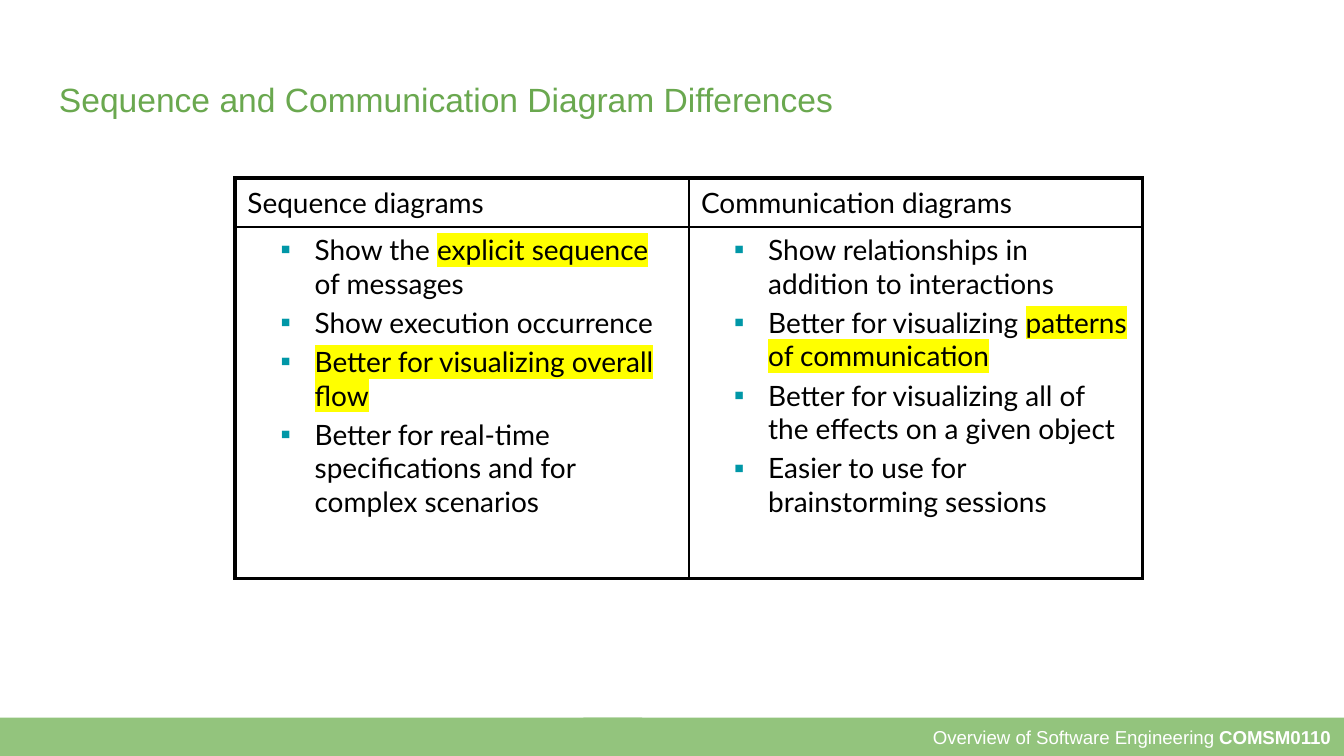
import lxml.etree
import pptx
import pptx.dml.color
import pptx.enum.shapes
import pptx.enum.text
import pptx.oxml.ns
import pptx.util

Pt = pptx.util.Pt
qn = pptx.oxml.ns.qn
Anchor = pptx.enum.text.MSO_ANCHOR
Align = pptx.enum.text.PP_ALIGN

BLACK, WHITE, YELLOW = "000000", "FFFFFF", "FFFF00"
BAR_GREEN, TITLE_GREEN, BULLET_TEAL = "93C47D", "6AA84F", "0097A7"
OUTER_LINE, INNER_LINE = 2.25, 1

HEADINGS = ["Sequence diagrams", "Communication diagrams"]
POINTS = [
    [
        [("Show the ", None), ("explicit sequence ", YELLOW), ("of messages", None)],
        [("Show execution occurrence", None)],
        [("Better for visualizing overall flow", YELLOW)],
        [("Better for real-time specifications and for complex scenarios", None)],
    ],
    [
        [("Show relationships in addition to interactions", None)],
        [("Better for visualizing ", None), ("patterns of communication", YELLOW)],
        [("Better for visualizing all of the effects on a given object", None)],
        [("Easier to use for brainstorming sessions", None)],
    ],
]


def rgb(value):
    """Turn a hex string into a colour."""
    return pptx.dml.color.RGBColor.from_string(value)


def add_element(parent, tag, **attributes):
    """Append an XML element with the given attributes."""
    element = lxml.etree.SubElement(parent, qn(tag))
    for name, value in attributes.items():
        element.set(name, str(value))
    return element


def add_span(para, text, size=15, font="Lato", color=BLACK, bold=False, highlight=None):
    """Add formatted text to a paragraph."""
    span = para.add_run()
    span.text = text
    span.font.size = Pt(size)
    span.font.bold = bold
    span.font.color.rgb = rgb(color)
    if highlight:
        marker = add_element(span.font._element, "a:highlight")
        add_element(marker, "a:srgbClr", val=highlight)
    span.font.name = font


def set_insets(frame, inset=7.2):
    """Wrap the text and give the frame equal insets."""
    frame.word_wrap = True
    frame.margin_left = frame.margin_right = Pt(inset)
    frame.margin_top = frame.margin_bottom = Pt(inset)


def add_bar(page, left, top, width, height):
    """Add one plain footer rectangle."""
    bar = page.shapes.add_shape(
        pptx.enum.shapes.MSO_SHAPE.RECTANGLE, Pt(left), Pt(top), Pt(width), Pt(height))
    bar.shadow.inherit = False
    bar.fill.solid()
    bar.fill.fore_color.rgb = rgb(BAR_GREEN)
    bar.line.fill.background()
    return bar


def add_footer(page, left, top, width, height):
    """Add the footer band with the course name at its right."""
    label_left = 312.5
    label = add_bar(page, left + label_left, top, width - label_left, height)
    frame = label.text_frame
    set_insets(frame)
    frame.vertical_anchor = Anchor.MIDDLE
    para = frame.paragraphs[0]
    para.alignment = Align.RIGHT
    look = {"size": 10, "font": "Arial", "color": WHITE}
    add_span(para, "Overview of Software Engineering ", **look)
    add_span(para, "COMSM0110", bold=True, **look)
    add_bar(page, left, top, 344, height)


def add_title(page, left, top, width, height):
    """Add the slide title."""
    box = page.shapes.add_textbox(Pt(left), Pt(top), Pt(width), Pt(height))
    set_insets(box.text_frame)
    add_span(box.text_frame.paragraphs[0], "Sequence and Communication Diagram Differences",
             size=18, font="Arial", color=TITLE_GREEN)


def style_cell(cell, borders):
    """Clear the cell fill, set its margins and draw its four borders."""
    cell.fill.background()
    cell.margin_left = cell.margin_right = Pt(6.6)
    cell.margin_top = cell.margin_bottom = Pt(3.3)
    properties = cell._tc.get_or_add_tcPr()
    for position, (side, width) in enumerate(borders.items()):
        line = add_element(properties, f"a:ln{side}", w=Pt(width))
        add_element(add_element(line, "a:solidFill"), "a:srgbClr", val=BLACK)
        properties.insert(position, line)


def add_bullet(para):
    """Give a paragraph a hanging square bullet."""
    para.level = 1
    para.space_before = Pt(3)
    properties = para._p.get_or_add_pPr()
    properties.set("marL", str(Pt(36)))
    properties.set("indent", str(Pt(-18)))
    add_element(add_element(properties, "a:buClr"), "a:srgbClr", val=BULLET_TEAL)
    add_element(properties, "a:buSzPct", val=55000)
    add_element(properties, "a:buFont", typeface="Arial")
    add_element(properties, "a:buChar", char="■")


def add_comparison(page, left, top, width, height):
    """Add the table that compares the two diagram types."""
    table = page.shapes.add_table(2, 2, Pt(left), Pt(top), Pt(width), Pt(height)).table
    table.first_row = table.horz_banding = False
    heading_height = 26
    table.rows[0].height = Pt(heading_height)
    table.rows[1].height = Pt(height - heading_height)
    for column, (heading, points) in enumerate(zip(HEADINGS, POINTS)):
        table.columns[column].width = Pt(width / 2)
        for row in range(2):
            style_cell(table.cell(row, column), {
                "L": INNER_LINE if column else OUTER_LINE,
                "R": OUTER_LINE if column else INNER_LINE,
                "T": INNER_LINE if row else OUTER_LINE,
                "B": OUTER_LINE if row else INNER_LINE,
            })
        heading_cell = table.cell(0, column)
        heading_cell.vertical_anchor = Anchor.MIDDLE
        para = heading_cell.text_frame.paragraphs[0]
        para.space_before = Pt(3)
        add_span(para, heading)
        frame = table.cell(1, column).text_frame
        for index, spans in enumerate(points):
            para = frame.add_paragraph() if index else frame.paragraphs[0]
            add_bullet(para)
            for text, highlight in spans:
                add_span(para, text, highlight=highlight)


def main():
    """Build the slide and save the deck."""
    deck = pptx.Presentation()
    deck.slide_width, deck.slide_height = Pt(720), Pt(405)
    page = deck.slides.add_slide(deck.slide_layouts[6])
    add_footer(page, 0, 384.5, 720, 20.5)
    add_title(page, 24.5, 35, 671, 45)
    add_comparison(page, 126, 95.5, 486, 214.5)
    deck.save("out.pptx")


if __name__ == "__main__":
    main()
